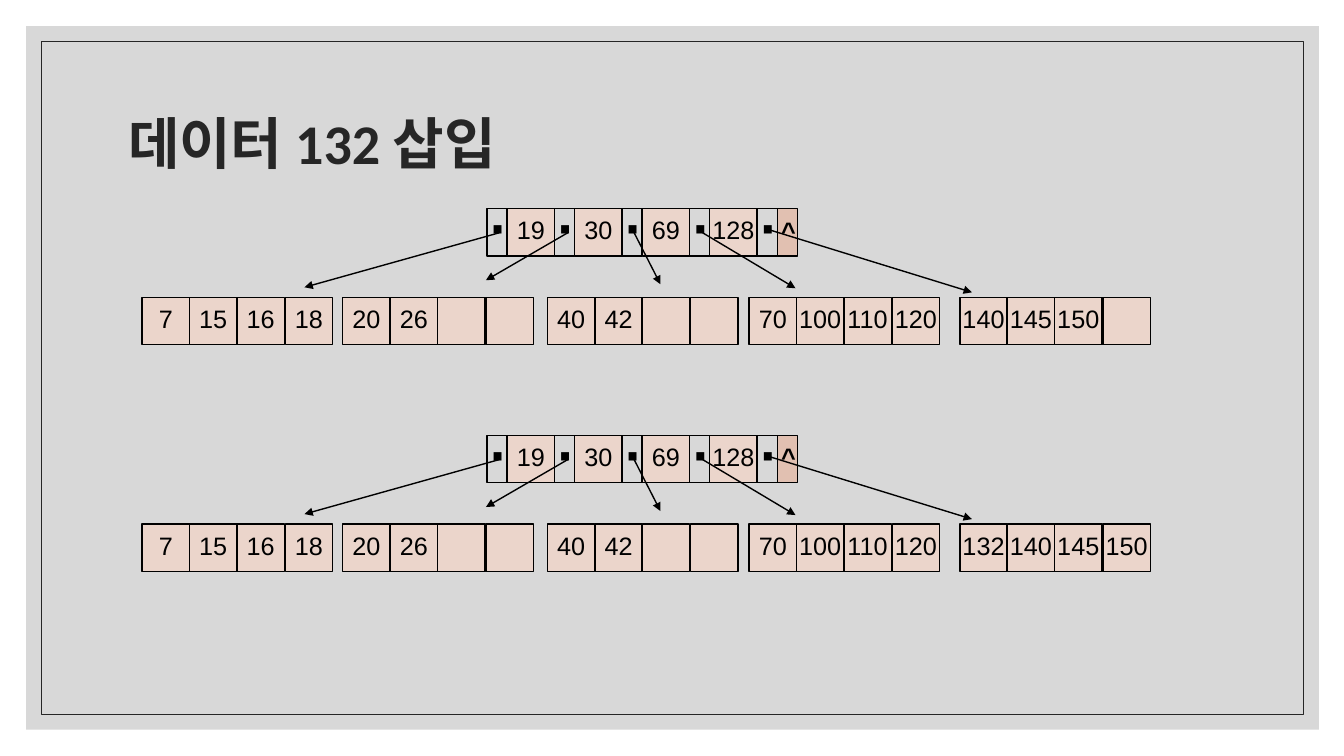
import pptx
import pptx.dml.color
import pptx.enum.shapes
import pptx.enum.text
import pptx.util
from lxml import etree
from pptx.oxml.ns import qn

RGBColor = pptx.dml.color.RGBColor
RECTANGLE = pptx.enum.shapes.MSO_SHAPE.RECTANGLE
STRAIGHT = pptx.enum.shapes.MSO_CONNECTOR.STRAIGHT
ALIGN = pptx.enum.text.PP_ALIGN
ANCHOR = pptx.enum.text.MSO_ANCHOR
AUTO_SIZE = pptx.enum.text.MSO_AUTO_SIZE

TITLE = "데이터 132 삽입"
ROOT_KEYS = ["19", "30", "69", "128"]
SHARED_LEAVES = [
    ["7", "15", "16", "18"],
    ["20", "26", "", ""],
    ["40", "42", "", ""],
    ["70", "100", "110", "120"],
]
# Top of the root and keys of the last leaf, before and after the insertion
TREES = [
    (207, ["140", "145", "150", ""]),
    (432, ["132", "140", "145", "150"]),
]

BLACK = RGBColor(0x00, 0x00, 0x00)
DARK = RGBColor(0x26, 0x26, 0x26)
GRAY = RGBColor(0xBF, 0xBF, 0xBF)
KEY_FILL = RGBColor(0xEB, 0xD5, 0xCB)
END_FILL = RGBColor(0xE1, 0xC0, 0xB1)

EMU_PER_PX = 9144  # 100 px to the inch
CELL = 47
POINTER_WIDTH = 20
ROOT_LEFT = 483
ROOT_PITCH = CELL + POINTER_WIDTH
LEAF_LEFTS = [141, 340, 543, 743, 952]
LEAF_WIDTH = 189
LEAF_DROP = 88
# Start and end of each arrow; heights are measured from the top of the root
ARROWS = [
    ((495, 24), (302, 78)),
    ((563, 24), (482, 71)),
    ((629, 24), (655, 75)),
    ((697, 24), (789, 79)),
    ((763, 21), (964, 83)),
]


def px(*lengths):
    return [pptx.util.Emu(length * EMU_PER_PX) for length in lengths]


def add_box(shapes, box, fill=None, line=BLACK, line_width=1):
    shape = shapes.add_shape(RECTANGLE, *px(*box))
    shape.shadow.inherit = False
    if fill is None:
        shape.fill.background()
    else:
        shape.fill.solid()
        shape.fill.fore_color.rgb = fill
    if line is None:
        shape.line.fill.background()
    else:
        shape.line.color.rgb = line
        shape.line.width = pptx.util.Pt(line_width)
    return shape


def write(shape, text, size, bold=False):
    frame = shape.text_frame
    frame.word_wrap = False
    paragraph = frame.paragraphs[0]
    paragraph.text = text
    paragraph.alignment = ALIGN.CENTER
    paragraph.line_spacing = 0.8
    paragraph.font.name = "Arial"
    paragraph.font.size = pptx.util.Pt(size)
    paragraph.font.bold = bold
    paragraph.font.color.rgb = BLACK


def add_key(shapes, left, top, text):
    cell = add_box(shapes, (left, top, CELL, CELL), KEY_FILL)
    if text:
        cell.text_frame.vertical_anchor = ANCHOR.MIDDLE
        write(cell, text, 18)


def add_mark(shapes, box, text, size):
    mark = shapes.add_textbox(*px(*box))
    write(mark, text, size, bold=True)
    mark.text_frame.auto_size = AUTO_SIZE.SHAPE_TO_FIT_TEXT


def add_arrow(shapes, start, end):
    arrow = shapes.add_connector(STRAIGHT, *px(*start, *end))
    arrow.line.color.rgb = BLACK
    arrow.line.width = pptx.util.Pt(1)
    etree.SubElement(arrow.line._get_or_add_ln(), qn("a:tailEnd"), type="triangle")
    etree.SubElement(arrow.element.spPr, qn("a:effectLst"))


def add_root(shapes, top):
    end_left = ROOT_LEFT + len(ROOT_KEYS) * ROOT_PITCH + POINTER_WIDTH
    add_box(shapes, (end_left, top, POINTER_WIDTH, CELL), END_FILL)
    for index, key in enumerate(ROOT_KEYS):
        add_key(shapes, ROOT_LEFT + index * ROOT_PITCH + POINTER_WIDTH, top, key)
    for index, (start, end) in enumerate(ARROWS):
        left = ROOT_LEFT + index * ROOT_PITCH
        add_box(shapes, (left, top, POINTER_WIDTH, CELL))
        add_mark(shapes, (left - 7, top - 8, 35, 64), "·", 40)
        add_arrow(shapes, (start[0], top + start[1]), (end[0], top + end[1]))
    add_mark(shapes, (end_left - 8, top + 7, 38, 34), "^", 18)


def add_leaf(shapes, left, top, keys):
    for column, key in enumerate(keys):
        add_key(shapes, left + round(LEAF_WIDTH * column / len(keys)), top, key)


def add_title(slide):
    title = slide.shapes.title
    title.left, title.top, title.width, title.height = px(117, 70, 1100, 150)
    frame = title.text_frame
    frame.word_wrap = True
    frame.auto_size = AUTO_SIZE.NONE
    frame.vertical_anchor = ANCHOR.MIDDLE
    paragraph = frame.paragraphs[0]
    paragraph.text = TITLE
    paragraph.alignment = ALIGN.LEFT
    paragraph.line_spacing = 0.9
    paragraph.font.name = "Calibri"
    paragraph.font.size = pptx.util.Pt(40)
    paragraph.font.bold = True
    paragraph.font.color.rgb = DARK


def add_backdrop(slide):
    """Lay the gray panel and its thin frame behind the title."""
    panel = add_box(slide.shapes, (26, 26, 1282, 698), GRAY, line=None)
    color = panel.element.spPr.find(qn("a:solidFill"))[0]
    etree.SubElement(color, qn("a:alpha"), val="60000")
    frame = add_box(slide.shapes, (41, 41, 1252, 668), line=DARK, line_width=0.5)
    for shape in (panel, frame):
        slide.shapes.title.element.addprevious(shape.element)


def main():
    presentation = pptx.Presentation()
    presentation.slide_width, presentation.slide_height = px(1333, 750)
    slide = presentation.slides.add_slide(presentation.slide_layouts[5])
    add_title(slide)
    add_backdrop(slide)
    for top, last_leaf in TREES:
        add_root(slide.shapes.add_group_shape().shapes, top)
        for left, keys in zip(LEAF_LEFTS, SHARED_LEAVES + [last_leaf]):
            add_leaf(slide.shapes, left, top + LEAF_DROP, keys)
    presentation.save("out.pptx")


if __name__ == "__main__":
    main()
